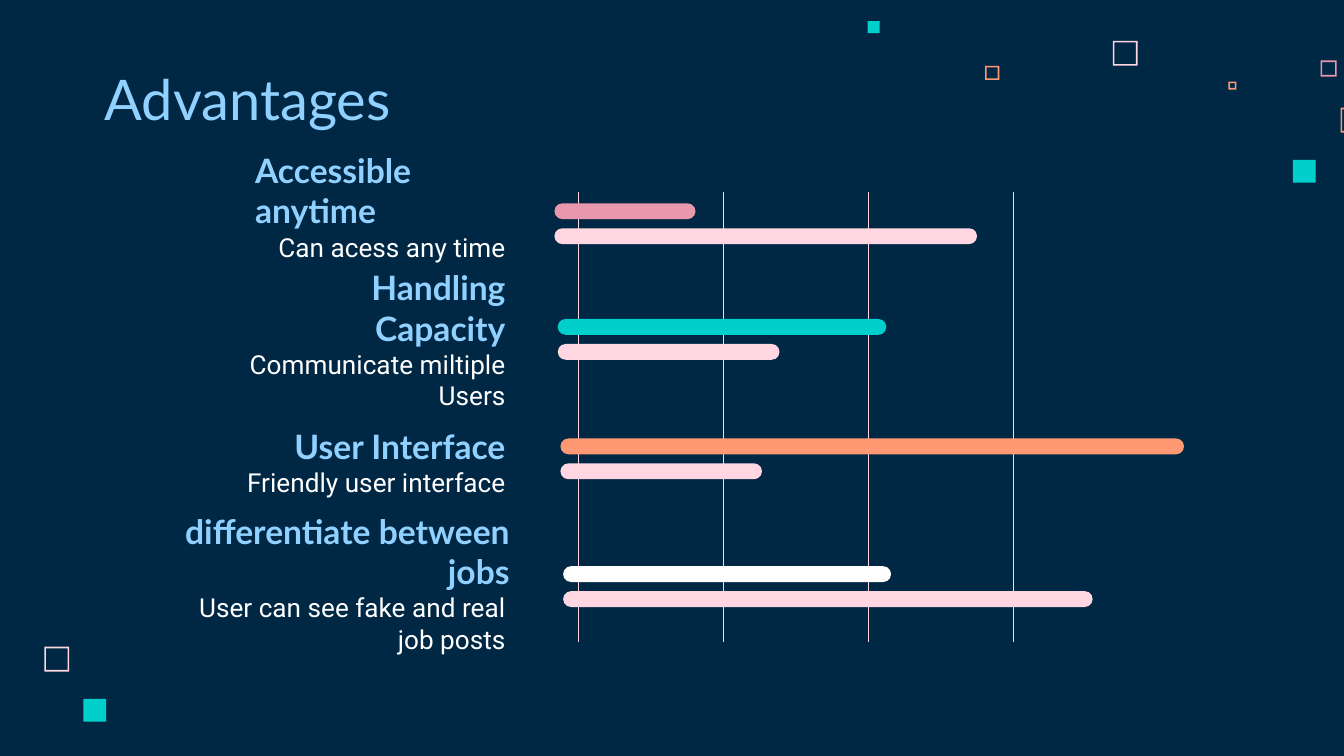
import pptx
import pptx.util
import pptx.dml.color
import pptx.enum.shapes
import pptx.enum.text
import pptx.oxml
import pptx.oxml.ns

theme = {
    "navy": "002845", "sky": "91D1FF", "blush": "FFD6E1", "rose": "E898AC",
    "coral": "FF9973", "teal": "00CFCC", "white": "FFFFFF",
    "heading_font": "Lato", "body_font": "Roboto",
    "title_size": 30, "heading_size": 18, "body_size": 14, "grid_width": 0.25,
}
align = pptx.enum.text.PP_ALIGN
anchor = pptx.enum.text.MSO_ANCHOR
preset = pptx.enum.shapes.MSO_SHAPE

deck = pptx.Presentation()
deck.slide_width = pptx.util.Inches(10)
deck.slide_height = pptx.util.Inches(5.625)
column = deck.slide_width / 100
row = deck.slide_height / 100
slide = deck.slides.add_slide(deck.slide_layouts[6])
slide.background.fill.solid()
slide.background.fill.fore_color.rgb = pptx.dml.color.RGBColor.from_string(theme["navy"])


def add_block(kind, left, top, width, height, color):
    block = slide.shapes.add_shape(kind, *map(round, (left, top, width, height)))
    block.shadow.inherit = False
    block.fill.solid()
    block.fill.fore_color.rgb = pptx.dml.color.RGBColor.from_string(theme[color])
    block.line.fill.background()
    return block


def add_label(words, left, top, width, height, font, size, color, bold, side, hold):
    label = slide.shapes.add_textbox(*map(round, (left, top, width, height)))
    frame = label.text_frame
    frame.word_wrap = True
    frame.vertical_anchor = hold
    frame.margin_left = frame.margin_right = pptx.util.Inches(0.1)
    frame.margin_top = frame.margin_bottom = pptx.util.Inches(0.1)
    frame.text = words
    paragraph = frame.paragraphs[0]
    paragraph.alignment = side
    paragraph.font.name = theme[font]
    paragraph.font.size = pptx.util.Pt(theme[size])
    paragraph.font.bold = bold
    paragraph.font.color.rgb = pptx.dml.color.RGBColor.from_string(theme[color])


for left, top, side, color, hollow in [
    (82.8, 5.4, 1.85, "blush", True),
    (98.25, 8, 1.2, "rose", True),
    (91.4, 10.8, 0.6, "coral", True),
    (99.75, 14.25, 1.85, "coral", True),
    (96.2, 21.15, 1.7, "teal", False),
    (73.3, 8.7, 1.05, "coral", True),
    (64.55, 2.8, 0.9, "teal", False),
    (3.3, 85.55, 1.85, "blush", True),
    (6.2, 92.45, 1.7, "teal", False),
]:
    square = add_block(preset.FRAME if hollow else preset.RECTANGLE,
                       left * column, top * row, side * column, side * column, color)
    if hollow:
        square.adjustments[0] = 0.12 / side

add_label("Advantages", 6.8 * column, 8 * row, 51.7 * column, 11.2 * row,
          "heading_font", "title_size", "sky", False, align.LEFT, anchor.BOTTOM)

for step in range(4):
    x = round((43.05 + 10.78 * step) * column)
    grid_line = slide.shapes.add_connector(
        pptx.enum.shapes.MSO_CONNECTOR.STRAIGHT, x, round(25.4 * row), x, round(84.9 * row))
    grid_line.line.width = pptx.util.Pt(theme["grid_width"])
    grid_line.line.color.rgb = pptx.dml.color.RGBColor.from_string(theme["blush"])
    grid_line._element.spPr.append(pptx.oxml.parse_xml(
        f"<a:effectLst {pptx.oxml.ns.nsdecls('a')}/>"))

for left, top, first, second, color in [
    (41.25, 26.9, 10.5, 31.45, "rose"),
    (41.5, 42.2, 24.45, 16.5, "teal"),
    (41.7, 58, 46.4, 15, "coral"),
    (41.9, 74.9, 24.4, 39.4, "white"),
]:
    for level, (length, shade) in enumerate([(first, color), (second, "blush")]):
        bar = add_block(preset.ROUNDED_RECTANGLE, left * column, (top + 3.3 * level) * row,
                        length * column, 2.1 * row, shade)
        bar.adjustments[0] = 0.5

for heading, detail, top, left, width, detail_width, side in [
    ("Accessible anytime", "Can acess any time", 24.7, 18, 22.1, 24.5, align.LEFT),
    ("Handling Capacity", "Communicate miltiple Users", 40.2, 18, 20.6, 23.6, align.RIGHT),
    ("User Interface", "Friendly user interface", 55.8, 18, 20.6, 26.1, align.RIGHT),
    ("differentiate between jobs", "User can see fake and real job posts",
     72.4, 10, 28.9, 26.1, align.RIGHT),
]:
    add_label(heading, left * column, top * row, width * column, 7.6 * row,
              "heading_font", "heading_size", "sky", True, side, anchor.BOTTOM)
    add_label(detail, (38.6 - detail_width) * column, (top + 4.1) * row,
              detail_width * column, 12.6 * row,
              "body_font", "body_size", "white", False, align.RIGHT, anchor.TOP)

deck.save("out.pptx")
